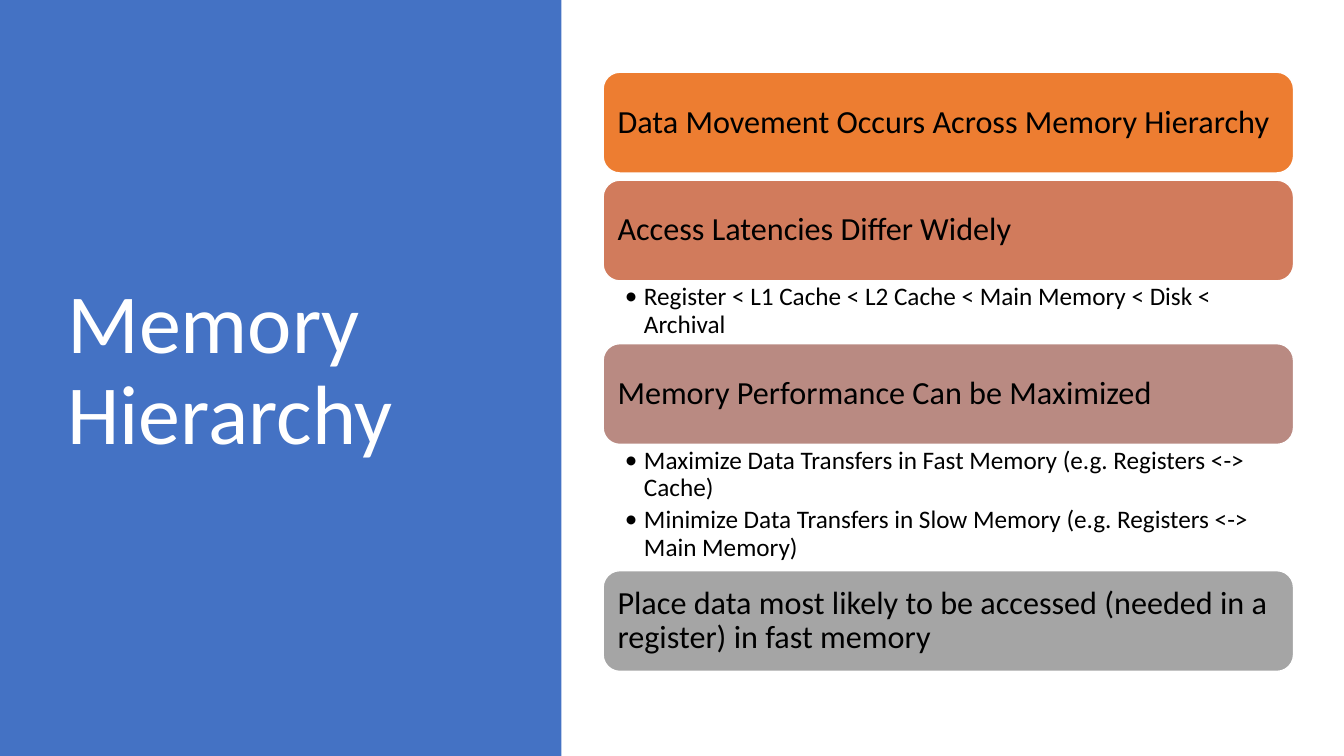
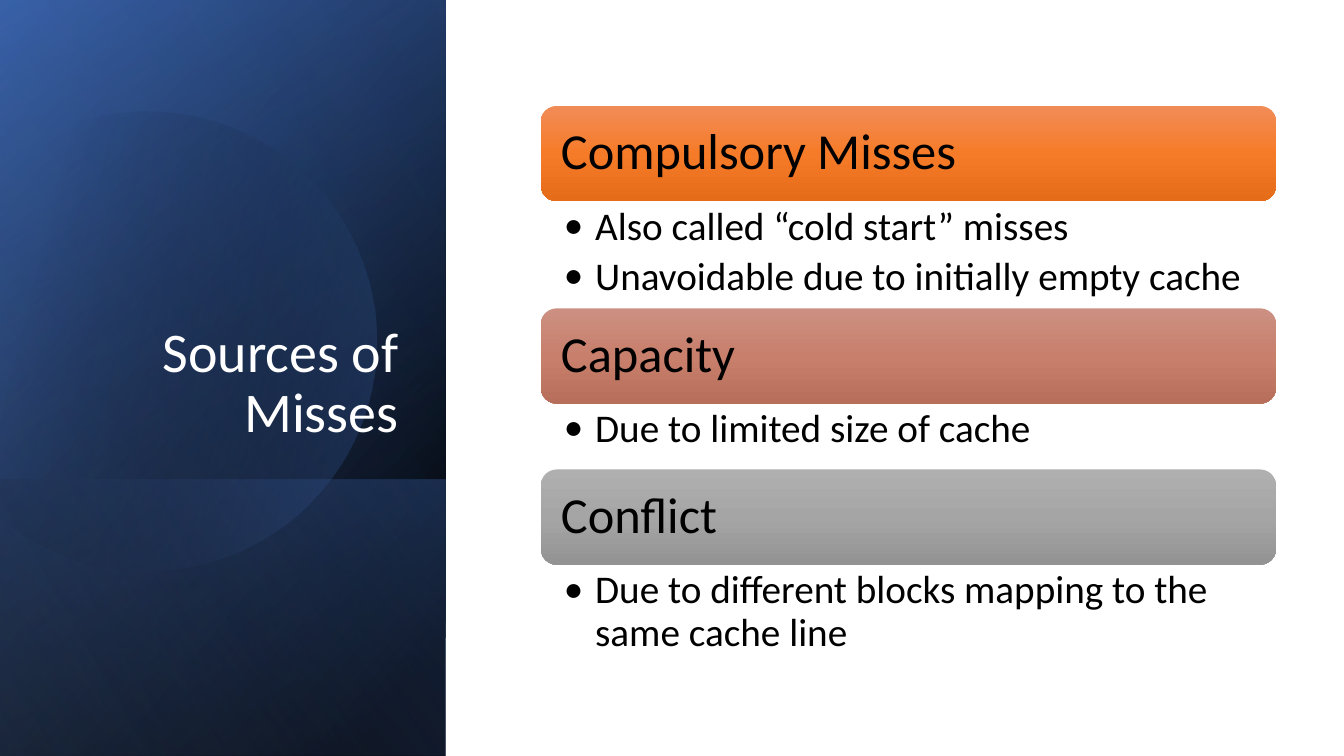
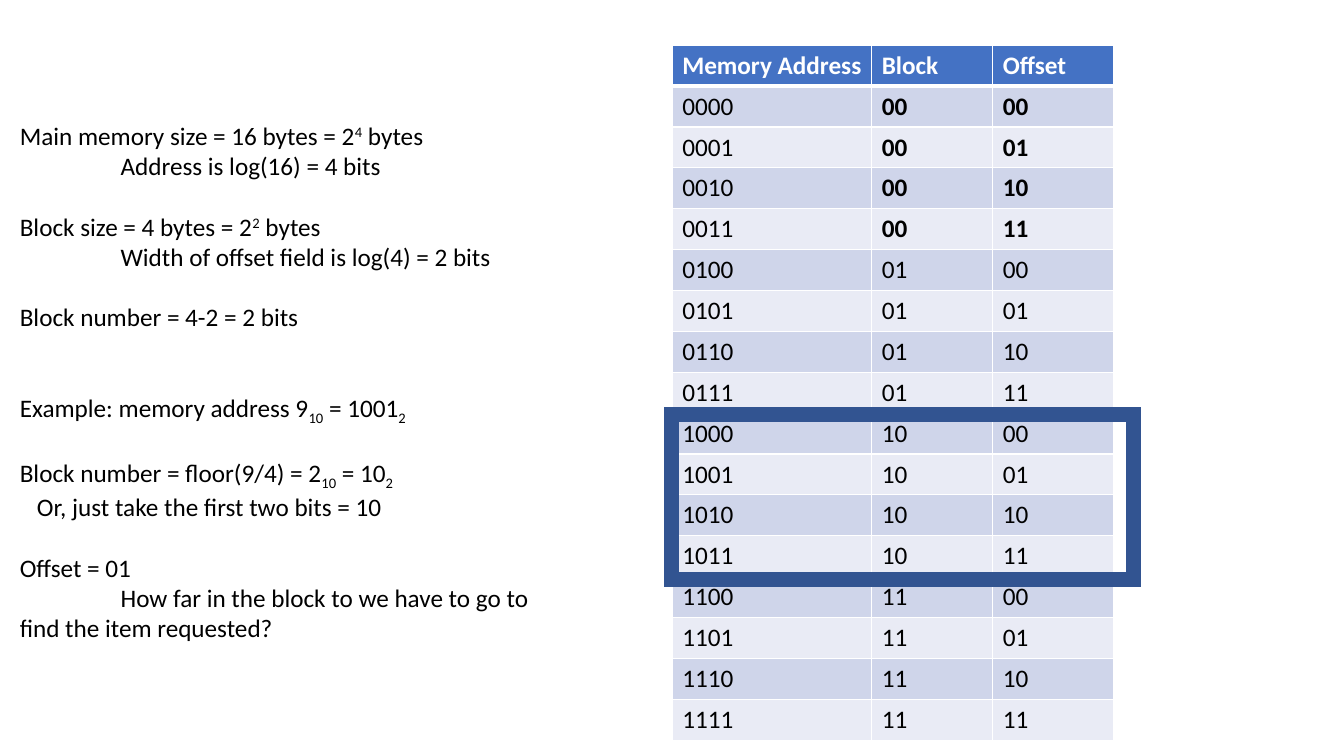
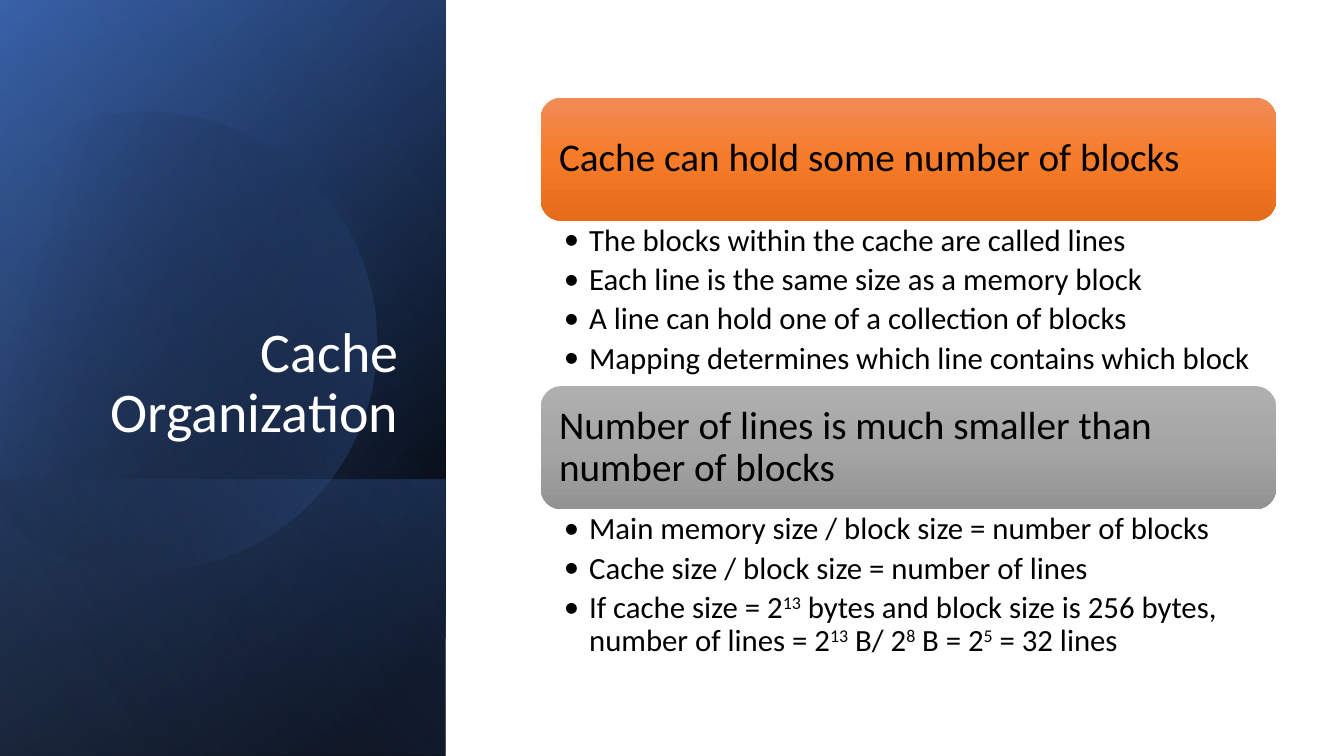
import math
from dataclasses import dataclass

from lxml import etree
from pptx import Presentation
from pptx import util as u
from pptx.dml.color import RGBColor
from pptx.enum import shapes, text
from pptx.oxml.ns import qn

Cm, Pt = u.Cm, u.Pt
RECT = shapes.MSO_SHAPE.RECTANGLE
ROUNDED = shapes.MSO_SHAPE.ROUNDED_RECTANGLE
TOP, MIDDLE, BOTTOM = text.MSO_ANCHOR.TOP, text.MSO_ANCHOR.MIDDLE, text.MSO_ANCHOR.BOTTOM


@dataclass(frozen=True)
class Theme:
    font: str = "Calibri"
    ink: str = "000000"
    white: str = "FFFFFF"
    blue: str = "4472C4"
    navy: str = "2F5597"
    pale_blue: str = "8FAADC"
    frame: str = "325491"
    bands: tuple = ("CFD5EA", "E9EBF5")
    orange: str = "ED7D31"
    copper: str = "D17B5C"
    rose: str = "B98A82"
    gray: str = "A5A5A5"
    # Gradient stops: position %, colour, opacity %
    orange_fade: tuple = ((0, "F18C57", 100), (50, "F67B28", 100), (100, "E56C19", 100))
    rose_fade: tuple = ((0, "CB9082", 100), (50, "C87F6C", 100), (100, "B76E5B", 100))
    gray_fade: tuple = ((0, "AFAFAF", 100), (50, "A5A5A5", 100), (100, "939393", 100))
    big_title: int = 60
    title: int = 40
    body: int = 18


@dataclass(frozen=True)
class CardStyle:
    """Measures of a stack of cards, in cm; type sizes in points."""
    left: float
    top: float
    width: float
    height: float
    inset: float
    bullet_insets: tuple
    hang: float
    size: int
    bullet_size: int
    gap: float = 0.18
    line: str = None


T = Theme()
WIDE_CARDS = CardStyle(15.2, 1.82, 17.4, 2.54, 0.24, (0.55, 0.08, 0.46, 0.08), 0.48, 23, 18, line=T.white)
MISS_CARDS = CardStyle(13.63, 2.67, 18.53, 2.4, 0.39, (0.58, 0.13, 0.71, 0.13), 0.79, 36, 28)
CACHE_CARDS = CardStyle(13.63, 2.46, 18.53, 3.1, 0.31, (0.58, 0.1, 0.56, 0.1), 0.64, 28, 22)


def rgb(color):
    return RGBColor.from_string(color)


def sup(s):
    return s, 30000


def sub(s):
    return s, -25000


def write(tf, content, *, size=T.body, color=T.ink, bold=False, align=None, line=None,
          before=None, after_pct=None, indent=0, hang=0, bullet=False):
    """Add a paragraph; content is a string or a list of strings and raised or lowered pieces."""
    p = tf.paragraphs[0] if not tf.paragraphs[0].runs else tf.add_paragraph()
    pPr = p._p.get_or_add_pPr()
    if bullet:
        p.level = 1
        etree.SubElement(pPr, qn("a:buFont"), typeface=T.font)
        etree.SubElement(pPr, qn("a:buChar"), char="•")
    if indent or hang:
        pPr.set("marL", str(Cm(hang)))
        pPr.set("indent", str(Cm(indent - hang)))
    if align is not None:
        p.alignment = align
    if line:
        p.line_spacing = line
    if before:
        p.space_before = Pt(before)
    if after_pct:
        p.space_after = Pt(0)
        after = pPr.find(qn("a:spcAft"))
        after.remove(after[0])
        etree.SubElement(after, qn("a:spcPct")).set("val", str(after_pct * 1000))
    for piece in [content] if isinstance(content, str) else content:
        s, base = (piece, 0) if isinstance(piece, str) else piece
        r = p.add_run()
        r.text = s
        r.font.name, r.font.size, r.font.bold = T.font, Pt(size), bold
        r.font.color.rgb = rgb(color)
        if base:
            r.font._element.set("baseline", str(base))


def shade(sp, stops, angle):
    """Fill a shape with a linear gradient."""
    sp.fill.gradient()
    grad = sp.element.spPr.find(qn("a:gradFill"))
    for child in list(grad):
        grad.remove(child)
    grad.set("rotWithShape", "1")
    stop_list = etree.SubElement(grad, qn("a:gsLst"))
    for pos, color, opacity in stops:
        gs = etree.SubElement(stop_list, qn("a:gs"), pos=str(pos * 1000))
        clr = etree.SubElement(gs, qn("a:srgbClr"), val=color)
        if opacity < 100:
            etree.SubElement(clr, qn("a:alpha"), val=str(opacity * 1000))
    etree.SubElement(grad, qn("a:lin"), ang=str(angle * 60000), scaled="0")


def border(side, width):
    ln = etree.Element(qn("a:" + side), w=str(Pt(width)))
    fill = etree.SubElement(ln, qn("a:solidFill"))
    etree.SubElement(fill, qn("a:srgbClr"), val=T.white)
    return ln


class Deck:
    panel_w, slide_h = 11.23, 19.05

    def __init__(self):
        self.prs = Presentation()
        self.prs.slide_width, self.prs.slide_height = Cm(33.87), Cm(self.slide_h)
        self.s = None

    def new_slide(self):
        self.s = self.prs.slides.add_slide(self.prs.slide_layouts[6])

    def finish(self, sp, fill=None, line=None, line_width=1, angle=90):
        """Apply fill and outline; a tuple of stops makes a gradient."""
        sp.shadow.inherit = False
        if fill is None:
            sp.fill.background()
        elif isinstance(fill, tuple):
            shade(sp, fill, angle)
        else:
            sp.fill.solid()
            sp.fill.fore_color.rgb = rgb(fill)
        if line:
            sp.line.color.rgb = rgb(line)
            sp.line.width = Pt(line_width)
            etree.SubElement(sp.element.spPr.find(qn("a:ln")), qn("a:miter"), lim="800000")
        else:
            sp.line.fill.background()
        return sp

    def shape(self, kind, box, **look):
        sp = self.s.shapes.add_shape(kind, *map(Cm, box))
        return self.finish(sp, **look)

    def frame(self, sp, insets=(0.25, 0.13, 0.25, 0.13), anchor=TOP):
        tf = sp.text_frame
        tf.word_wrap, tf.vertical_anchor = True, anchor
        tf.margin_left, tf.margin_top, tf.margin_right, tf.margin_bottom = map(Cm, insets)
        return tf

    def text_box(self, box, **layout):
        return self.frame(self.s.shapes.add_textbox(*map(Cm, box)), **layout)

    def title(self, content, box, size, anchor, align=text.PP_ALIGN.LEFT):
        write(self.text_box(box, anchor=anchor), content, size=size, color=T.white, line=0.9, align=align)

    # Dark side panel: turned, mirrored gradient layers around a faint disc
    def panel_layer(self, top, height, stops, angle):
        box = ((self.panel_w - height) / 2, top + (height - self.panel_w) / 2, height, self.panel_w)
        sp = self.shape(RECT, box, fill=stops, angle=angle)
        sp.rotation = 90
        sp.element.spPr.find(qn("a:xfrm")).set("flipH", "1")

    def panel_disc(self):
        cx, cy, radius = 3.68, 8.49, 5.79
        first, last, steps = -118.5, 150.7, 90
        angles = [math.radians(first + (last - first) * i / steps) for i in range(steps + 1)]
        pts = [(Cm(cx + radius * math.cos(a)), Cm(cy + radius * math.sin(a))) for a in angles]
        fb = self.s.shapes.build_freeform(*pts[0], scale=1.0)
        fb.add_line_segments(pts[1:], close=True)
        sp = fb.convert_to_shape()
        self.finish(sp, fill=((29, T.ink, 0), (100, T.blue, 43)), angle=30)
        sp.rotation = 343.9

    def side_panel(self, heading):
        self.panel_layer(0, self.slide_h, ((8, T.ink, 100), (100, T.navy, 100)), 50)
        self.panel_layer(0, self.slide_h, ((0, T.ink, 0), (99, T.blue, 46)), 30)
        self.panel_layer(12.09, 6.96, ((2, T.blue, 29), (100, T.ink, 30)), 130)
        self.panel_disc()
        self.panel_layer(0, self.slide_h, ((0, T.ink, 0), (99, T.pale_blue, 11)), 120)
        self.title(heading, (1.63, 4.69, 8.66, 6.65), T.title, BOTTOM, text.PP_ALIGN.RIGHT)

    def cards(self, st, items):
        """Stack cards; each item is heading, fill, height of the bullets and the bullets."""
        y = st.top
        for heading, fill, bullets_h, bullets in items:
            sp = self.shape(ROUNDED, (st.left, y, st.width, st.height), fill=fill, line=st.line)
            tf = self.frame(sp, (st.inset,) * 4, MIDDLE)
            write(tf, heading, size=st.size, line=0.9, after_pct=35, align=text.PP_ALIGN.LEFT)
            y += st.height
            if bullets:
                tf = self.text_box((st.left, y, st.width, bullets_h), insets=st.bullet_insets)
                for b in bullets:
                    write(tf, b, size=st.bullet_size, line=0.9, after_pct=20, hang=st.hang, bullet=True)
            y += bullets_h or st.gap

    def table(self, left, top, widths, row_h, rows, is_bold):
        gf = self.s.shapes.add_table(len(rows), len(widths), Cm(left), Cm(top),
                                     Cm(sum(widths)), Cm(row_h * len(rows)))
        tbl = gf.table
        for col, w in zip(tbl.columns, widths):
            col.width = Cm(w)
        for i, row in enumerate(rows):
            tbl.rows[i].height = Cm(row_h)
            for j, value in enumerate(row):
                cell = tbl.cell(i, j)
                cell.margin_right = Cm(0.1)
                write(cell.text_frame, value, color=T.ink if i else T.white, bold=is_bold(i, j))
                tcPr = cell._tc.get_or_add_tcPr()
                for side, width in (("lnL", 1), ("lnR", 1), ("lnT", 3 if i == 1 else 1),
                                    ("lnB", 1 if i else 3)):
                    tcPr.append(border(side, width))
                cell.fill.solid()
                cell.fill.fore_color.rgb = rgb(T.bands[(i - 1) % 2] if i else T.blue)


def memory_hierarchy(d):
    d.new_slide()
    d.shape(RECT, (0, 0, 14.15, d.slide_h), fill=T.blue)
    d.title("Memory Hierarchy", (1.45, 1.73, 10.57, 15.29), T.big_title, MIDDLE)
    d.cards(WIDE_CARDS, [
        ("Data Movement Occurs Across Memory Hierarchy", T.orange, 0, []),
        ("Access Latencies Differ Widely", T.copper, 1.58,
         ["Register < L1 Cache < L2 Cache < Main Memory < Disk < Archival"]),
        ("Memory Performance Can be Maximized", T.rose, 3.18,
         ["Maximize Data Transfers in Fast Memory (e.g. Registers <-> Cache)",
          "Minimize Data Transfers in Slow Memory (e.g. Registers <-> Main Memory)"]),
        ("Place data most likely to be accessed (needed in a register) in fast memory", T.gray, 0, []),
    ])


def sources_of_misses(d):
    d.new_slide()
    d.side_panel("Sources of Misses")
    d.cards(MISS_CARDS, [
        ("Compulsory Misses", T.orange_fade, 2.7,
         ["Also called “cold start” misses", "Unavoidable due to initially empty cache"]),
        ("Capacity", T.rose_fade, 1.66, ["Due to limited size of cache"]),
        ("Conflict", T.gray_fade, 2.45, ["Due to different blocks mapping to the same cache line"]),
    ])


def address_example(d):
    d.new_slide()
    # Worked example: content, line gaps above, first-line indent
    line_gap, tab = 21.6, 2.54
    tf = d.text_box((0.25, 2.9, 14.15, 14.88))
    for content, gaps, indent in [
        (["Main memory size = 16 bytes = 2", sup("4"), " bytes"], 0, 0),
        ("Address is log(16) = 4 bits", 0, tab),
        (["Block size = 4 bytes = 2", sup("2"), " bytes"], 1, 0),
        ("Width of offset field is log(4) = 2 bits", 0, tab),
        ("Block number = 4-2 = 2 bits", 1, 0),
        (["Example: memory address 9", sub("10"), " = 1001", sub("2")], 2, 0),
        (["Block number = floor(9/4) = 2", sub("10"), " = 10", sub("2")], 1, 0),
        ("Or, just take the first two bits = 10", 0, 0.43),
        ("Offset = 01", 1, 0),
        ("How far in the block to we have to go to find the item requested?", 0, tab),
    ]:
        write(tf, content, before=gaps * line_gap, indent=indent)

    # Every 4-bit address, split into block and offset
    addresses = [f"{n:04b}" for n in range(16)]
    rows = [("Memory Address", "Block", "Offset")] + [(a, a[:2], a[2:]) for a in addresses]
    d.table(16.94, 1.14, (5.03, 3.05, 3.05), 1.03, rows,
            is_bold=lambda i, j: i == 0 or (i <= 4 and j > 0))
    d.shape(RECT, (16.93, 10.44, 11.63, 4.17), line=T.frame, line_width=10.75)


def cache_organization(d):
    d.new_slide()
    d.side_panel("Cache Organization")
    d.cards(CACHE_CARDS, [
        ("Cache can hold some number of blocks", T.orange_fade, 4.17,
         ["The blocks within the cache are called lines",
          "Each line is the same size as a memory block",
          "A line can hold one of a collection of blocks",
          "Mapping determines which line contains which block"]),
        ("Number of lines is much smaller than number of blocks", T.gray_fade, 4.01,
         ["Main memory size / block size = number of blocks",
          "Cache size / block size = number of lines",
          ["If cache size = 2", sup("13"), " bytes and block size is 256 bytes, number of lines = 2",
           sup("13"), " B/ 2", sup("8"), " B = 2", sup("5"), " = 32 lines"]]),
    ])


def main():
    d = Deck()
    for build in (memory_hierarchy, sources_of_misses, address_example, cache_organization):
        build(d)
    d.prs.save("out.pptx")


if __name__ == "__main__":
    main()
